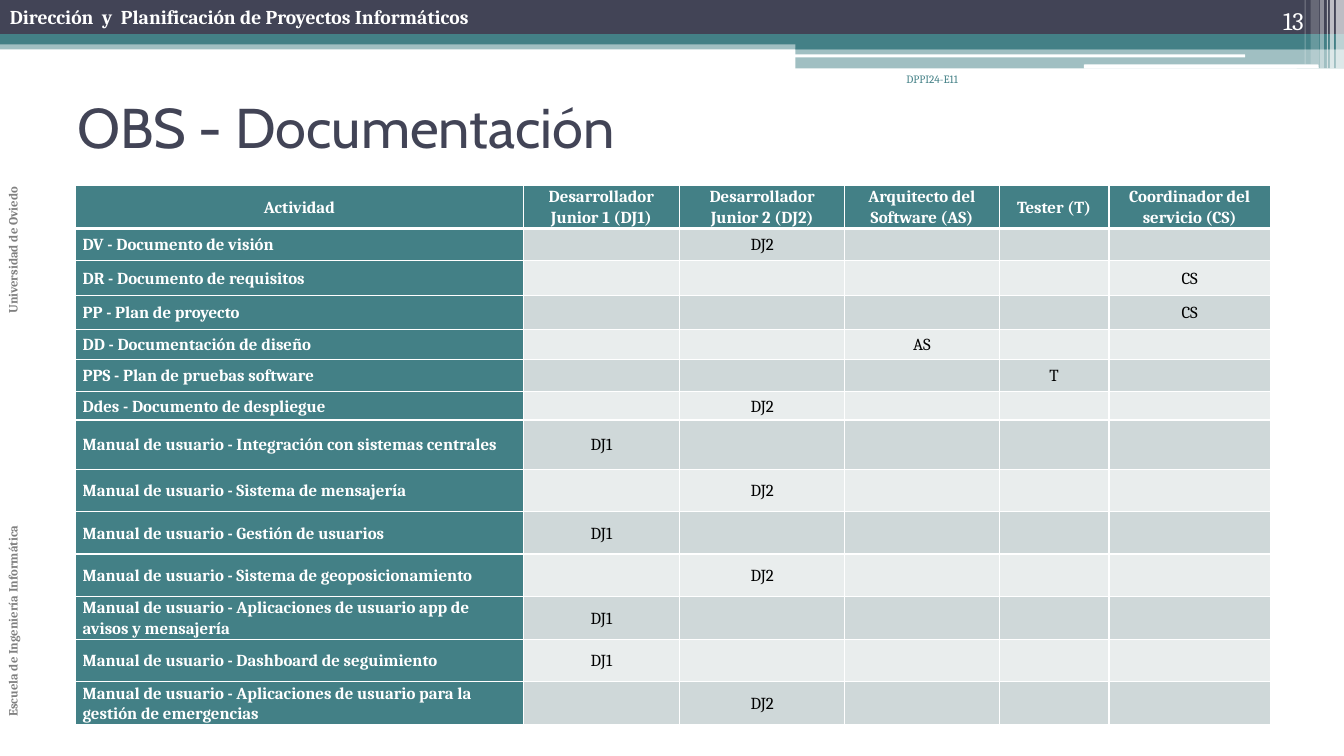
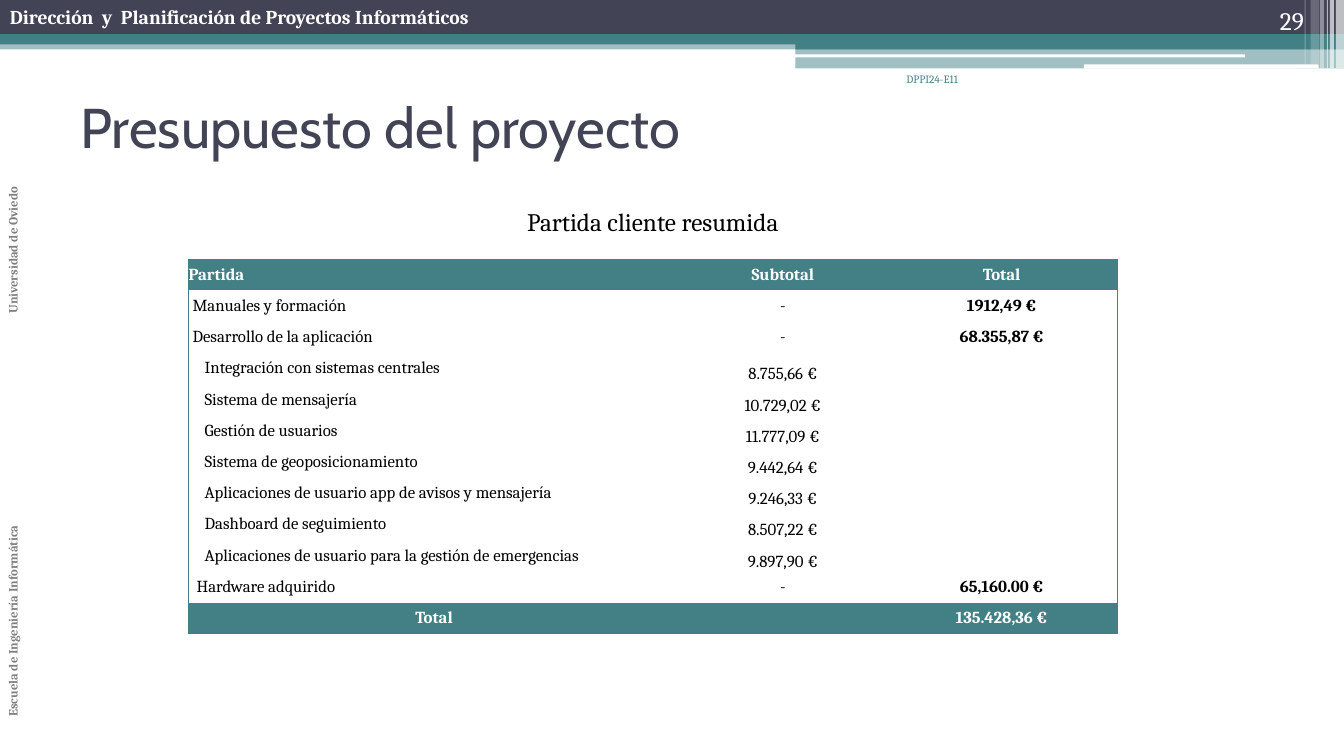
from dataclasses import dataclass

from lxml.etree import SubElement
from pptx import Presentation
from pptx.dml.color import RGBColor
from pptx.enum.shapes import MSO_SHAPE
from pptx.enum.text import MSO_ANCHOR, PP_ALIGN
from pptx.oxml.ns import qn
from pptx.util import Inches, Pt


@dataclass(frozen=True)
class Theme:
    """Colours, fonts and type sizes shared by the slides."""
    navy: str = "424456"
    teal: str = "438086"
    white: str = "FFFFFF"
    black: str = "000000"
    grey: str = "808080"
    dark_band: str = "CFD8D9"
    light_band: str = "E9EDED"
    body_font: str = "Cambria"
    title_font: str = "Cabin"
    title: int = 40
    caption: int = 18
    course: int = 14
    cell: int = 12
    side: int = 9
    code: int = 8


THEME = Theme()
NO_GRID_STYLE = "{2D5ABB26-0587-4C30-8999-92F81FD0307C}"
LEFT, CENTER, RIGHT = PP_ALIGN.LEFT, PP_ALIGN.CENTER, PP_ALIGN.RIGHT

TEAL_BANDS = [
    ((0, 0.4, 13.33, 0.09), THEME.teal, 50),
    ((0, 0, 13.33, 0.34), THEME.navy, 100),
    ((0, 0.34, 13.33, 0.1), THEME.teal, 100),
    ((7.89, 0.39, 5.44, 0.1), THEME.teal, 100),
    ((7.89, 0.48, 5.44, 0.2), THEME.teal, 50),
]
WHITE_RULES = [(7.88, 0.54, 4.47, 0.03), (10.75, 0.64, 2.33, 0.04)]
CORNER_STRIPES = [
    (13.25, 0.08, 0.68, 65), (13.19, 0.04, 0.68, 65), (13.16, 0.01, 0.68, 60),
    (13.09, 0.04, 0.68, 40), (13, 0.08, 0.64, 20), (12.94, 0.01, 0.64, 30),
]

ROLES = [
    "Desarrollador Junior 1 (DJ1)", "Desarrollador Junior 2 (DJ2)",
    "Arquitecto del Software (AS)", "Tester (T)", "Coordinador del servicio (CS)",
]
ROLE_CODES = ["DJ1", "DJ2", "AS", "T", "CS"]
ACTIVITIES = [
    ("DV - Documento de visión", "DJ2", 0.32),
    ("DR - Documento de requisitos", "CS", 0.34),
    ("PP - Plan de proyecto", "CS", 0.34),
    ("DD - Documentación de diseño", "AS", 0.3),
    ("PPS - Plan de pruebas software", "T", 0.32),
    ("Ddes - Documento de despliegue", "DJ2", 0.28),
    ("Manual de usuario - Integración con sistemas centrales", "DJ1", 0.49),
    ("Manual de usuario - Sistema de mensajería", "DJ2", 0.42),
    ("Manual de usuario - Gestión de usuarios", "DJ1", 0.42),
    ("Manual de usuario - Sistema de geoposicionamiento", "DJ2", 0.42),
    ("Manual de usuario - Aplicaciones de usuario app de avisos y mensajería", "DJ1", 0.42),
    ("Manual de usuario - Dashboard de seguimiento", "DJ1", 0.42),
    ("Manual de usuario - Aplicaciones de usuario para la gestión de emergencias", "DJ2", 0.42),
]
BUDGET = [
    ("Manuales y formación", "-", "1912,49 €", 0.04),
    ("Desarrollo de la aplicación", "-", "68.355,87 €", 0.04),
    ("Integración con sistemas centrales", "8.755,66 €", "", 0.16),
    ("Sistema de mensajería", "10.729,02 €", "", 0.16),
    ("Gestión de usuarios", "11.777,09 €", "", 0.16),
    ("Sistema de geoposicionamiento", "9.442,64 €", "", 0.16),
    ("Aplicaciones de usuario app de avisos y mensajería", "9.246,33 €", "", 0.16),
    ("Dashboard de seguimiento", "8.507,22 €", "", 0.16),
    ("Aplicaciones de usuario para la gestión de emergencias", "9.897,90 €", "", 0.16),
    ("Hardware adquirido", "-", "65,160.00 €", 0.08),
]


def add_bar(slide, box, color, opacity=100, preset=MSO_SHAPE.RECTANGLE):
    """Draw a plain filled bar without outline."""
    bar = slide.shapes.add_shape(preset, *map(Inches, box))
    bar.shadow.inherit = False
    bar.line.fill.background()
    bar.fill.solid()
    bar.fill.fore_color.rgb = RGBColor.from_string(color)
    if opacity < 100:
        tint = bar.fill._xPr.find(f".//{qn('a:srgbClr')}")
        SubElement(tint, qn("a:alpha"), val=str(opacity * 1000))


def add_run(paragraph, text, size, color, bold=False, font=THEME.body_font):
    """Append one styled run to a paragraph."""
    run = paragraph.add_run()
    run.text = text
    run.font.name = font
    run.font.size = Pt(size)
    run.font.bold = bold
    run.font.color.rgb = RGBColor.from_string(color)


def add_label(slide, box, text, size, color, bold=False, align=LEFT,
              anchor=MSO_ANCHOR.TOP, font=THEME.body_font):
    """Add a wrapped one-paragraph text box and return its frame."""
    frame = slide.shapes.add_textbox(*map(Inches, box)).text_frame
    frame.word_wrap = True
    frame.vertical_anchor = anchor
    frame.paragraphs[0].alignment = align
    add_run(frame.paragraphs[0], text, size, color, bold, font)
    return frame


def add_side_label(slide, box):
    """Write the school and university up the left edge."""
    frame = add_label(slide, box, "Escuela de Ingeniería Informática\tUniversidad de Oviedo",
                      THEME.side, THEME.grey, bold=True)
    frame._txBody.bodyPr.set("vert", "vert270")
    tabs = SubElement(frame.paragraphs[0]._p.get_or_add_pPr(), qn("a:tabLst"))
    SubElement(tabs, qn("a:tab"), pos=str(Inches(4)), algn="l")


def add_frame(slide, number, title, title_left):
    """Draw the bands, running labels and title of a slide."""
    for box, color, opacity in TEAL_BANDS:
        add_bar(slide, box, color, opacity)
    for box in WHITE_RULES:
        add_bar(slide, box, THEME.white, preset=MSO_SHAPE.ROUNDED_RECTANGLE)
    for left, width, height, opacity in CORNER_STRIPES:
        add_bar(slide, (left, 0, width, height), THEME.white, opacity)
    add_label(slide, (0, 0, 8.24, 0.34), "Dirección  y  Planificación de Proyectos Informáticos",
              THEME.course, THEME.white, bold=True)
    add_side_label(slide, (0, 0.54, 0.35, 6.67))
    add_label(slide, (7.67, 0.67, 1.93, 0.5), "DPPI24-E11", THEME.code, THEME.teal, align=RIGHT)
    add_label(slide, (11.92, 0, 1.11, 0.4), number, THEME.caption, THEME.white,
              align=RIGHT, anchor=MSO_ANCHOR.BOTTOM)
    add_label(slide, (title_left, 0.67, 12, 1.17), title, THEME.title, THEME.navy,
              anchor=MSO_ANCHOR.MIDDLE, font=THEME.title_font)


def add_grid(slide, left, top, widths, heights):
    """Add an unstyled table with the given columns and rows."""
    table = slide.shapes.add_table(len(heights), len(widths), Inches(left), Inches(top),
                                   Inches(sum(widths)), Inches(sum(heights))).table
    table.first_row = table.horz_banding = False
    table._tbl.tblPr.find(qn("a:tableStyleId")).text = NO_GRID_STYLE
    for column, width in zip(table.columns, widths):
        column.width = Inches(width)
    for row, height in zip(table.rows, heights):
        row.height = Inches(height)
    return table


def fill_cell(cell, text, color, margins, bold=False, align=CENTER,
              anchor=MSO_ANCHOR.MIDDLE, fill=None, borders=None):
    """Set the borders, fill and text of one table cell."""
    cell.margin_left, cell.margin_right = map(Inches, margins)
    cell.margin_top = cell.margin_bottom = 0
    cell.vertical_anchor = anchor
    for side, (line_color, width) in (borders or {}).items():
        line = SubElement(cell._tc.get_or_add_tcPr(), qn(f"a:ln{side}"), w=str(Pt(width)))
        SubElement(SubElement(line, qn("a:solidFill")), qn("a:srgbClr"), val=line_color)
    if fill:
        cell.fill.solid()
        cell.fill.fore_color.rgb = RGBColor.from_string(fill)
    else:
        cell.fill.background()
    paragraph = cell.text_frame.paragraphs[0]
    paragraph.alignment = align
    if text:
        add_run(paragraph, text, THEME.cell, color, bold)
    else:
        SubElement(paragraph._p, qn("a:endParaRPr"), sz=str(THEME.cell * 100))
    return paragraph


def add_responsibility_table(slide, left, top):
    """Tabulate who is responsible for each document."""
    table = add_grid(slide, left, top, [4.44, 1.55, 1.64, 1.53, 1.09, 1.6],
                     [0.38] + [height for _, _, height in ACTIVITIES])
    rows = [["Actividad"] + ROLES]
    for activity, owner, _ in ACTIVITIES:
        rows.append([activity] + [code if code == owner else "" for code in ROLE_CODES])
    for r, row in enumerate(rows):
        borders = {side: (THEME.white, 1) for side in "LRTB"}
        if r < 2:
            borders["B" if r == 0 else "T"] = (THEME.white, 3)
        band = THEME.dark_band if r % 2 else THEME.light_band
        for c, text in enumerate(row):
            heading = r == 0 or c == 0
            paragraph = fill_cell(
                table.cell(r, c), text, THEME.white if heading else THEME.black,
                (0.07, 0.07), bold=heading, align=LEFT if r and c == 0 else CENTER,
                fill=THEME.teal if heading else band, borders=borders)
            paragraph.line_spacing = 1.07
            paragraph.space_after = Pt(8)


def add_budget_table(slide, left, top):
    """Tabulate the budget items between a heading and a total row."""
    rows = [("Partida", "Subtotal", "Total", 0)] + BUDGET + [("Total", "", "135.428,36 €", 0)]
    last = len(rows) - 1
    table = add_grid(slide, left, top, [4.87, 2.05, 2.29], [0.31] * len(rows))
    for r, (*texts, indent) in enumerate(rows):
        strong = r in (0, last)
        for c, text in enumerate(texts):
            edges = {"L": c == 0, "R": c == 2, "T": r == 0, "B": r == last}
            is_detail = c == 1 and not strong and text != "-"
            fill_cell(
                table.cell(r, c), text, THEME.white if strong else THEME.black,
                (indent if c == 0 else 0, 0), bold=strong or c == 2,
                align=LEFT if c == 0 and r < last else CENTER,
                anchor=MSO_ANCHOR.BOTTOM if is_detail else MSO_ANCHOR.MIDDLE,
                fill=THEME.teal if strong else None,
                borders={side: (THEME.teal, 0.75) for side, outer in edges.items() if outer})


def build_documentation(slide):
    """Build the documentation responsibility slide."""
    add_frame(slide, "13", "OBS - Documentación", 0.67)
    add_responsibility_table(slide, 0.75, 1.84)


def build_budget(slide):
    """Build the project budget slide."""
    add_frame(slide, "29", "Presupuesto del proyecto", 0.7)
    add_label(slide, (1.87, 2, 9.21, 0.4), "Partida cliente resumida",
              THEME.caption, THEME.black, align=CENTER)
    add_budget_table(slide, 1.87, 2.57)


def main():
    """Build and save the presentation."""
    deck = Presentation()
    deck.slide_width, deck.slide_height = Inches(13.33), Inches(7.5)
    for build in (build_documentation, build_budget):
        build(deck.slides.add_slide(deck.slide_layouts[6]))
    deck.save("out.pptx")


if __name__ == "__main__":
    main()
